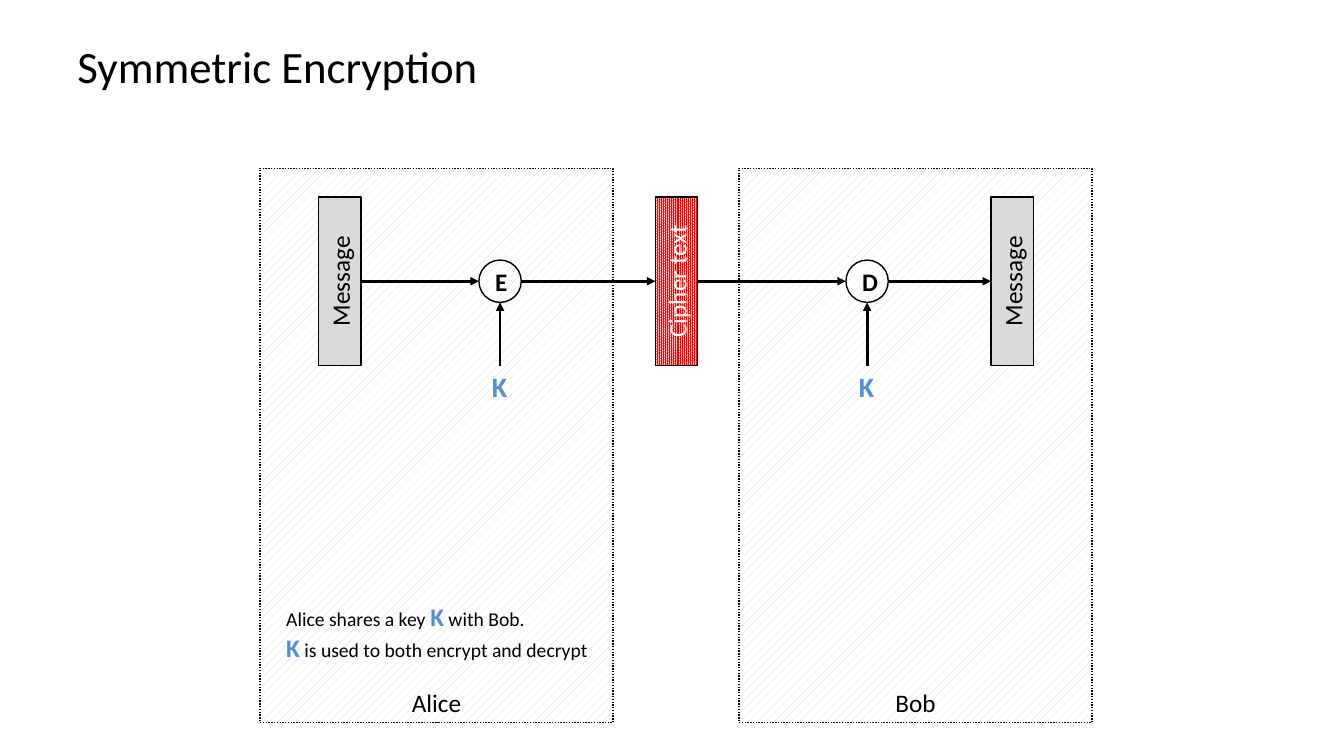
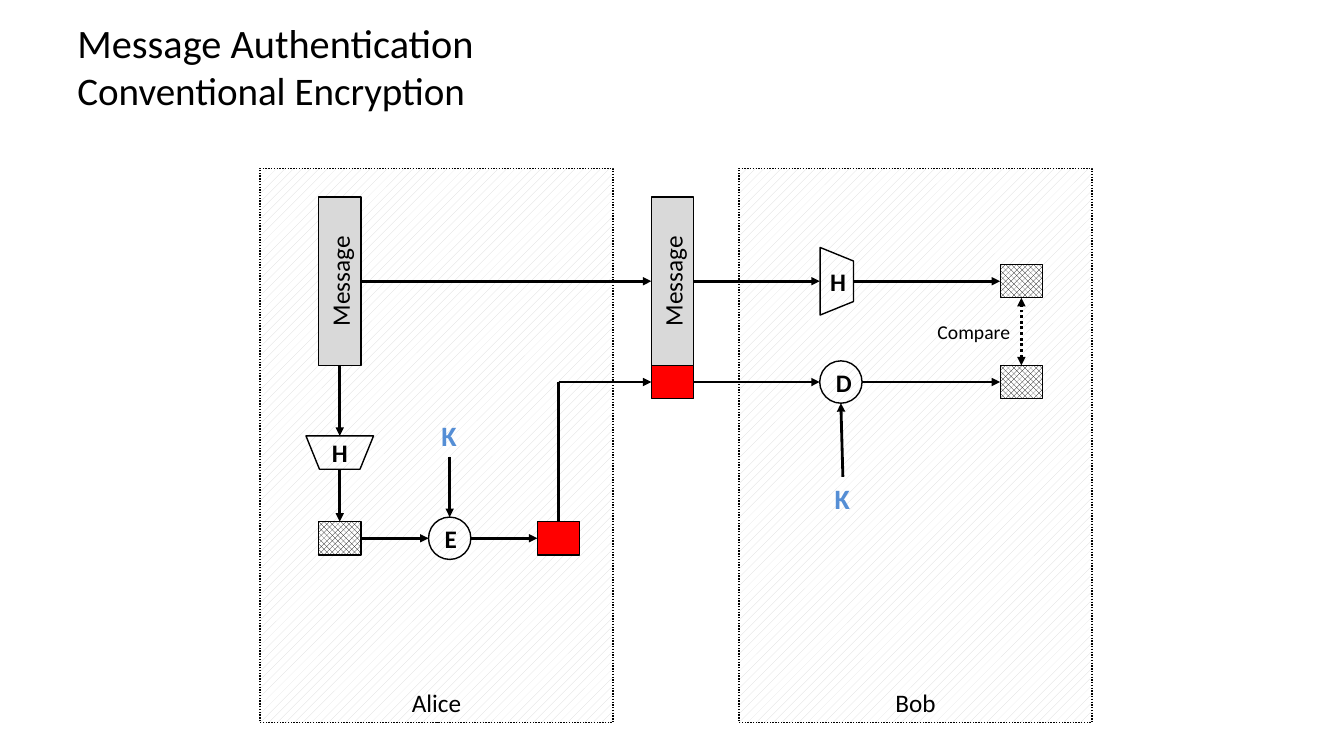
from dataclasses import dataclass
from typing import NamedTuple, Optional, Union

from lxml import etree
from pptx import Presentation
from pptx import util as u
from pptx.dml import color
from pptx.enum import dml, shapes, text
from pptx.oxml import ns

Inches, Pt = u.Inches, u.Pt
FONT = "Calibri"
COLOURS = {
    "black": "000000",
    "white": "FFFFFF",
    "grey": "D9D9D9",
    "red": "FF0000",
    "key": "558ED5",
}
TOP, LEFT, BOTTOM, RIGHT = range(4)
SIDE = 0.42  # circle diameter and width of the narrow boxes
RADIUS = SIDE / 2
MESSAGE_HEIGHT = 1.67
TAG_HEIGHT = 0.33
FLOW_Y = 2.79
TAG_Y = 3.79
ALICE_X = 3.37


class Pattern(NamedTuple):
    kind: dml.MSO_PATTERN
    ink: str


HATCH = Pattern(dml.MSO_PATTERN.PERCENT_20, "grey")
CIPHER = Pattern(dml.MSO_PATTERN.PERCENT_90, "red")
DIAMONDS = Pattern(dml.MSO_PATTERN.OUTLINED_DIAMOND, "black")


@dataclass
class Node:
    """A box given by its centre and size, in inches."""
    x: float
    y: float
    width: float = SIDE
    height: float = SIDE
    label: str = ""
    fill: Union[str, Pattern, None] = None
    kind: shapes.MSO_SHAPE = shapes.MSO_SHAPE.RECTANGLE
    ink: str = "black"
    bold: bool = False
    anchor: text.MSO_ANCHOR = text.MSO_ANCHOR.MIDDLE
    dotted: bool = False
    rotation: int = 0
    text_direction: str = ""


class Point(NamedTuple):
    x: float
    y: float


class Port(NamedTuple):
    box: object
    side: int


class Span(NamedTuple):
    words: str
    is_key: bool = False


End = Union[Point, Port]


def rgb(name: str) -> color.RGBColor:
    return color.RGBColor.from_string(COLOURS[name])


def style_span(span, size: float, ink: str = "black", bold: bool = False) -> None:
    span.font.name = FONT
    span.font.size = Pt(size)
    span.font.bold = bold
    span.font.color.rgb = rgb(ink)


def paint(box, fill: Union[str, Pattern, None]) -> None:
    if fill is None:
        box.fill.background()
    elif isinstance(fill, Pattern):
        box.fill.patterned()
        box.fill.pattern = fill.kind
        box.fill.fore_color.rgb = rgb(fill.ink)
        box.fill.back_color.rgb = rgb("white")
    else:
        box.fill.solid()
        box.fill.fore_color.rgb = rgb(fill)


def add_node(page, node: Node):
    box = page.shapes.add_shape(
        node.kind,
        Inches(node.x - node.width / 2), Inches(node.y - node.height / 2),
        Inches(node.width), Inches(node.height))
    box.shadow.inherit = False
    box.rotation = node.rotation
    paint(box, node.fill)
    box.line.color.rgb = rgb("black")
    box.line.width = Pt(1)
    if node.dotted:
        box.line.dash_style = dml.MSO_LINE.ROUND_DOT
    if node.label:
        frame = box.text_frame
        frame.text = node.label
        frame.vertical_anchor = node.anchor
        para = frame.paragraphs[0]
        para.alignment = text.PP_ALIGN.CENTER
        style_span(para.runs[0], 18, node.ink, node.bold)
        if node.text_direction:
            box.element.txBody.find(ns.qn("a:bodyPr")).set("vert", node.text_direction)
    return box


def add_message(page, x: float, label: str = "Message",
                fill: Union[str, Pattern] = "grey", ink: str = "black"):
    return add_node(page, Node(x, FLOW_Y, height=MESSAGE_HEIGHT, label=label, fill=fill,
                               ink=ink, text_direction="vert270"))


def add_circle(page, x: float, y: float, label: str):
    return add_node(page, Node(x, y, label=label, bold=True, kind=shapes.MSO_SHAPE.OVAL))


def add_hash(page, x: float, y: float, rotation: int = 0, text_direction: str = ""):
    return add_node(page, Node(x, y, 0.67, 0.33, "H", bold=True, rotation=rotation,
                               kind=shapes.MSO_SHAPE.FLOWCHART_MANUAL_OPERATION,
                               text_direction=text_direction))


def add_tag(page, x: float, y: float, fill: Union[str, Pattern]):
    return add_node(page, Node(x, y, height=TAG_HEIGHT, fill=fill))


def add_text_box(page, left: float, top: float, width: float, height: float):
    frame = page.shapes.add_textbox(
        Inches(left), Inches(top), Inches(width), Inches(height)).text_frame
    frame.word_wrap = False
    frame.auto_size = text.MSO_AUTO_SIZE.SHAPE_TO_FIT_TEXT
    return frame


def add_key(page, x: float, y: float) -> None:
    frame = add_text_box(page, x - 0.18, y - 0.22, 0.36, 0.44)
    frame.text = "K"
    style_span(frame.paragraphs[0].runs[0], 20, "key", True)


def add_line(page, start: End, end: End, head: bool = False, tail: bool = True,
             dotted: bool = False) -> None:
    """Draw a straight line, joined to a box wherever an end is a Port."""
    points = [Point(0, 0) if isinstance(stop, Port) else stop for stop in (start, end)]
    line = page.shapes.add_connector(
        shapes.MSO_CONNECTOR.STRAIGHT,
        *(Inches(length) for point in points for length in point))
    if isinstance(start, Port):
        line.begin_connect(start.box, start.side)
    if isinstance(end, Port):
        line.end_connect(end.box, end.side)
    line.line.color.rgb = rgb("black")
    line.line.width = Pt(2)
    if dotted:
        line.line.dash_style = dml.MSO_LINE.ROUND_DOT
    properties = line.element.spPr
    outline = properties.find(ns.qn("a:ln"))
    for wanted, tag in ((head, "a:headEnd"), (tail, "a:tailEnd")):
        if wanted:
            etree.SubElement(outline, ns.qn(tag)).set("type", "triangle")
    etree.SubElement(properties, ns.qn("a:effectLst"))


def add_page(deck, title: str, sizes: tuple[float, ...]):
    """Add a page with the two parties' panels and its title."""
    page = deck.slides.add_slide(deck.slide_layouts[6])
    for x, party in ((9.08, "Bob"), (4.33, "Alice")):
        add_node(page, Node(x, 4.42, 3.5, 5.5, party, HATCH,
                            anchor=text.MSO_ANCHOR.BOTTOM, dotted=True))
    frame = page.shapes.add_textbox(
        Inches(0.67), Inches(0.3), Inches(12), Inches(0.7)).text_frame
    frame.word_wrap = True
    frame.vertical_anchor = text.MSO_ANCHOR.MIDDLE
    para = frame.paragraphs[0]
    para.text = title
    for span, size in zip(para.runs, sizes):
        style_span(span, size)
    return page


def add_key_note(page) -> None:
    frame = add_text_box(page, 2.74, 5.92, 3.22, 0.71)
    lines = (
        (Span("Alice shares a key "), Span("K", True), Span(" with Bob.")),
        (Span("K", True), Span(" is used to both encrypt and decrypt")),
    )
    for index, line in enumerate(lines):
        para = frame.add_paragraph() if index else frame.paragraphs[0]
        for part in line:
            span = para.add_run()
            span.text = part.words
            if part.is_key:
                style_span(span, 18, "key", True)
            else:
                style_span(span, 14)


def build_symmetric(deck) -> None:
    page = add_page(deck, "Symmetric Encryption", (32,))
    plain = add_message(page, ALICE_X)
    cipher = add_message(page, 6.71, "Cipher text", CIPHER, "white")
    decoded = add_message(page, 10.04)
    encrypt_x, decrypt_x = 4.96, 8.6
    for x, label in ((encrypt_x, "E"), (decrypt_x, "D")):
        add_circle(page, x, FLOW_Y, label)
        add_key(page, x, 3.84)
        add_line(page, Point(x, 3.63), Point(x, FLOW_Y + RADIUS))
    for source, x, target in ((plain, encrypt_x, cipher), (cipher, decrypt_x, decoded)):
        add_line(page, Port(source, RIGHT), Point(x - RADIUS, FLOW_Y))
        add_line(page, Point(x + RADIUS, FLOW_Y), Port(target, LEFT))
    add_key_note(page)


def build_authentication(deck) -> None:
    page = add_page(deck, "Message Authentication\nConventional Encryption", (28.8, 27.9))
    sent_x, compare_x, encrypt_x, decrypt_x = 6.67, 10.13, 4.46, 8.34
    digest_y, cipher_x = 5.34, 5.54
    message = add_message(page, ALICE_X)
    sent = add_message(page, sent_x)
    hash_box = add_hash(page, ALICE_X, 4.49)
    add_hash(page, 8.3, FLOW_Y, 270, "vert")
    add_circle(page, decrypt_x, TAG_Y, "D")
    add_circle(page, encrypt_x, digest_y, "E")
    digest = add_tag(page, ALICE_X, digest_y, DIAMONDS)
    sealed = add_tag(page, cipher_x, digest_y, "red")
    sent_seal = add_tag(page, sent_x, TAG_Y, "red")
    computed = add_tag(page, compare_x, FLOW_Y, DIAMONDS)
    received = add_tag(page, compare_x, TAG_Y, DIAMONDS)
    add_key(page, encrypt_x, 4.32)
    add_key(page, 8.36, 4.95)

    corner = Point(cipher_x, TAG_Y)
    for start, end in (
        (Port(message, RIGHT), Port(sent, LEFT)),
        (Port(message, BOTTOM), Port(hash_box, TOP)),
        (Port(hash_box, BOTTOM), Port(digest, TOP)),
        (Port(digest, RIGHT), Point(encrypt_x - RADIUS, digest_y)),
        (Point(encrypt_x, 4.53), Point(encrypt_x, digest_y - RADIUS)),
        (Point(encrypt_x + RADIUS, digest_y), Port(sealed, LEFT)),
        (corner, Port(sent_seal, LEFT)),
        (Port(sent, RIGHT), Point(8.13, FLOW_Y)),
        (Point(8.46, FLOW_Y), Port(computed, LEFT)),
        (Port(sent_seal, RIGHT), Point(decrypt_x - RADIUS, TAG_Y)),
        (Point(8.36, 4.73), Point(decrypt_x, TAG_Y + RADIUS)),
        (Point(decrypt_x + RADIUS, TAG_Y), Port(received, LEFT)),
    ):
        add_line(page, start, end)
    add_line(page, Port(sealed, TOP), corner, tail=False)
    add_line(page, Port(received, TOP), Port(computed, BOTTOM), head=True, dotted=True)
    frame = add_text_box(page, 9.2, 3.12, 0.93, 0.34)
    frame.text = "Compare"
    style_span(frame.paragraphs[0].runs[0], 14)


def main() -> None:
    deck = Presentation()
    deck.slide_width, deck.slide_height = Inches(13.33), Inches(7.5)
    build_symmetric(deck)
    build_authentication(deck)
    deck.save("out.pptx")


if __name__ == "__main__":
    main()
